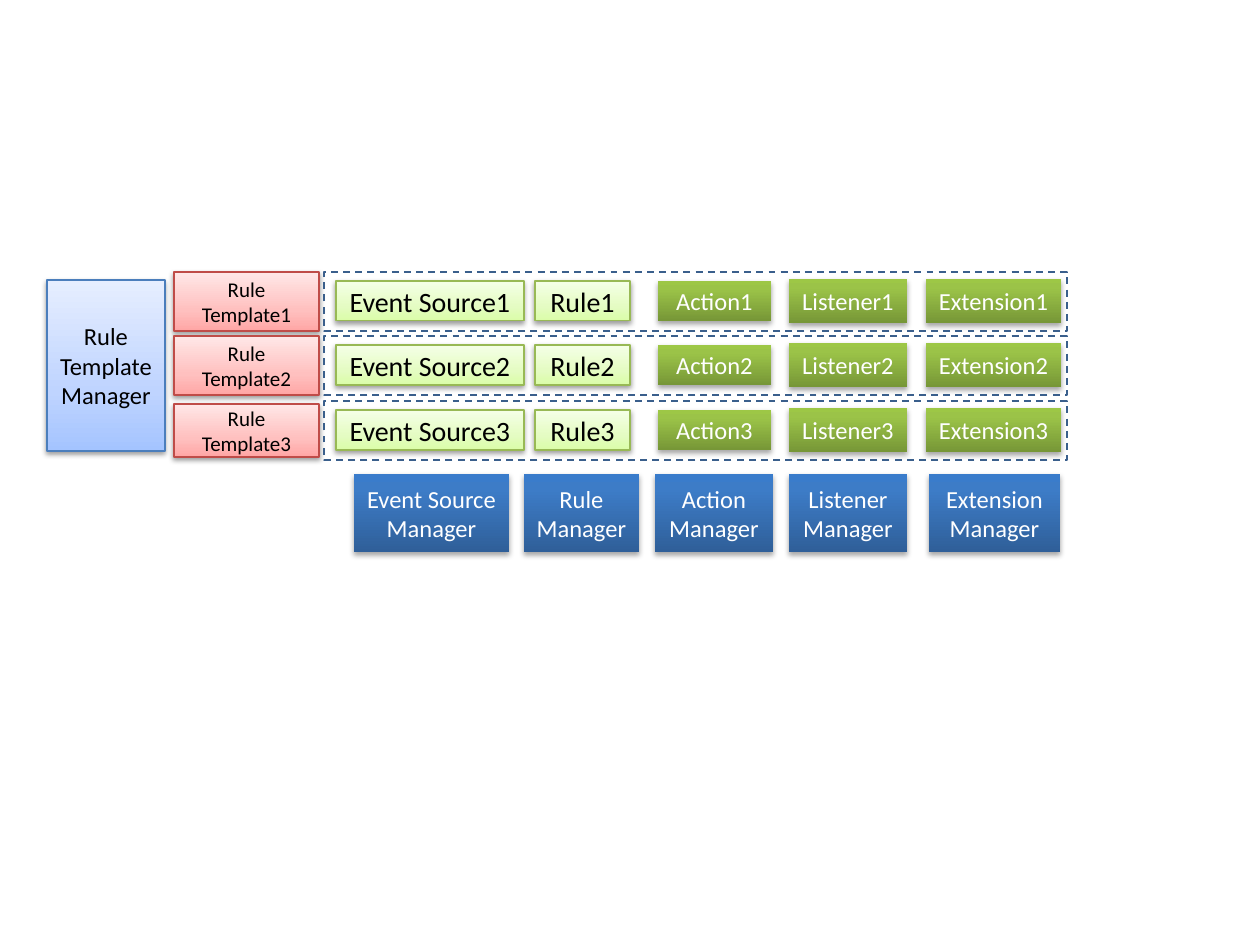
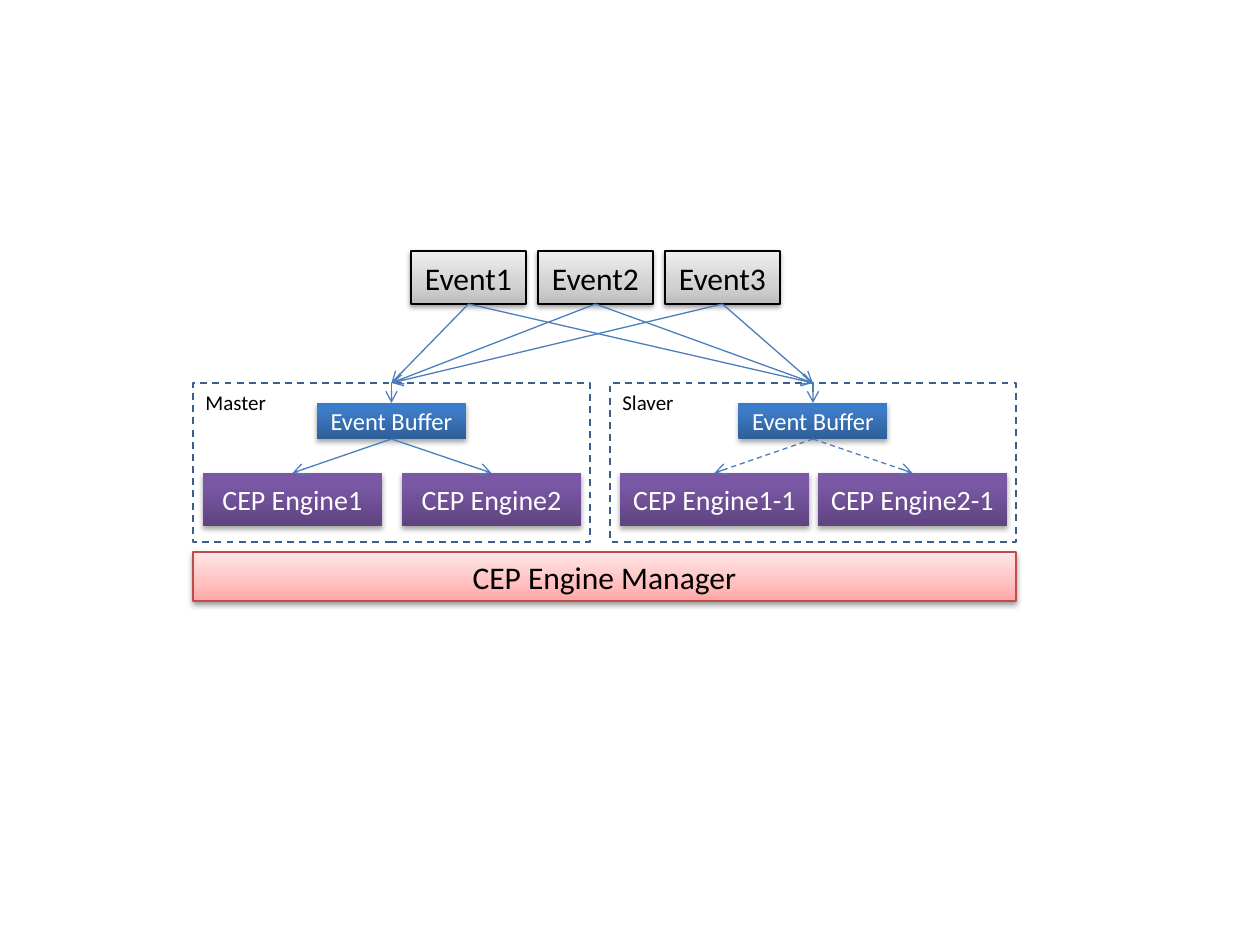
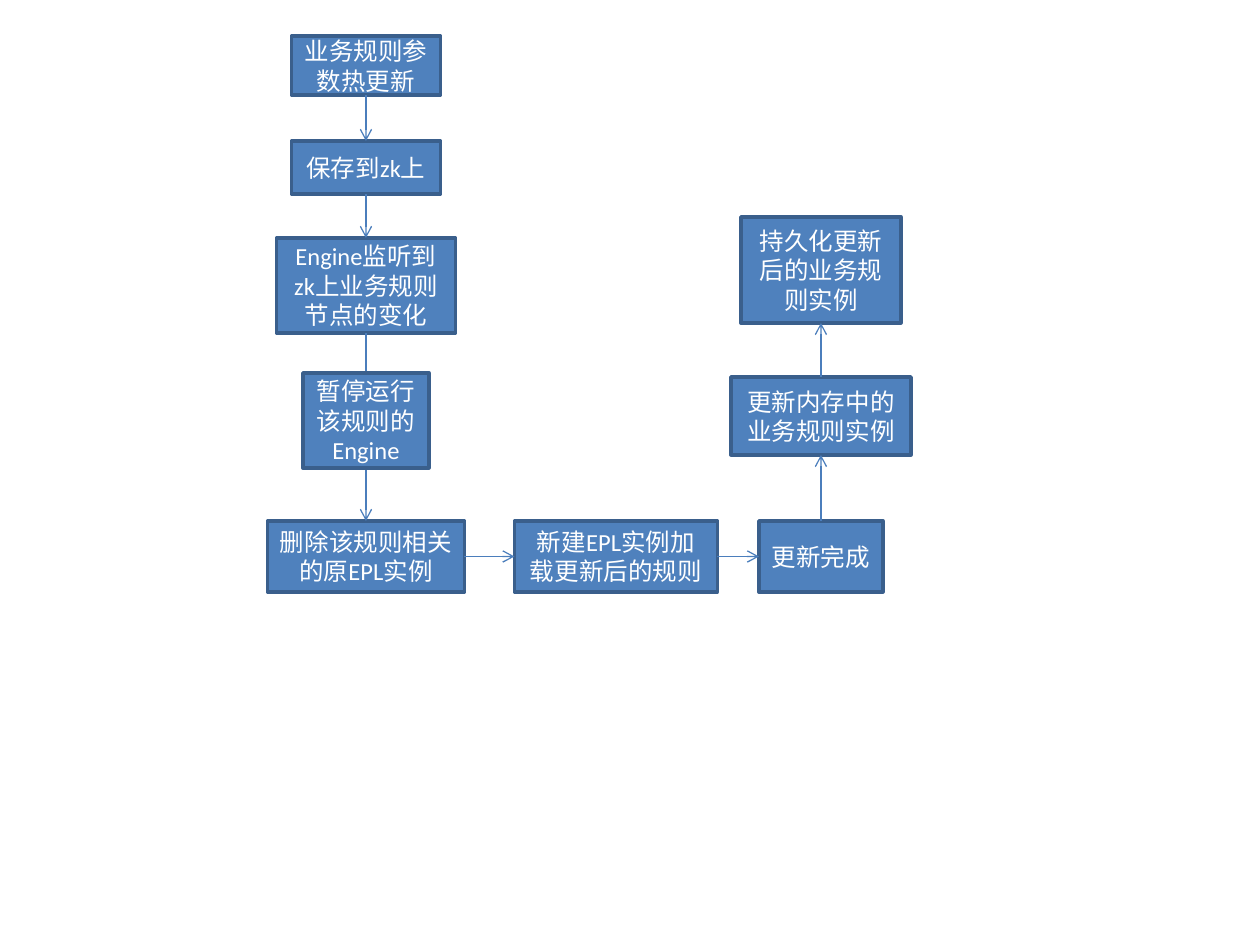
from lxml.etree import SubElement
from pptx import Presentation
from pptx.dml.color import RGBColor
from pptx.enum.dml import MSO_LINE
from pptx.enum.shapes import MSO_CONNECTOR, MSO_SHAPE
from pptx.enum.text import MSO_ANCHOR, PP_ALIGN
from pptx.oxml.ns import qn
from pptx.util import Emu, Pt

SCALE = 914400 // 126
FONT = "Calibri"
BLACK = RGBColor(0x00, 0x00, 0x00)
WHITE = RGBColor(0xFF, 0xFF, 0xFF)
BLUE = RGBColor(0x4F, 0x81, 0xBD)
NAVY = RGBColor(0x3A, 0x5F, 0x8C)
STEEL = RGBColor(0x4B, 0x7E, 0xBC)
RED = RGBColor(0xBF, 0x4C, 0x48)
LIME = RGBColor(0x98, 0xB9, 0x55)


def ramp(mid, *tones):
    """Pair three colours with their gradient stops."""
    return list(zip((0, mid, 100), map(RGBColor.from_string, tones)))


DEEP = {"size": 14, "ink": WHITE, "cast": (35, 1.8)}
PALE = {"size": 14, "ink": BLACK, "cast": (38, 1.6)}
GREEN = {**DEEP, "fill": ramp(80, "779737", "9BC348", "9DC746")}
AZURE = {**DEEP, "fill": ramp(80, "2F5F99", "3D7CC7", "3A7CCB")}
PURPLE = {**DEEP, "fill": ramp(80, "5F4480", "7B58A6", "7C57A8"), "size": 16}
MINT = {**PALE, "fill": ramp(35, "DAFDA7", "E4FCC2", "F5FFE7"), "edge": LIME, "size": 16}
PINK = {**PALE, "fill": ramp(35, "FFA6A5", "FFC0BF", "FFE7E7"), "edge": RED}
SKY = {**PALE, "fill": ramp(35, "A4C4FF", "BFD4FF", "E6EEFF"), "edge": STEEL}
GREY = {**PALE, "fill": ramp(35, "BDBDBD", "D1D1D1", "EEEEEE"), "edge": BLACK, "size": 18}
STEP = {"size": 14, "ink": WHITE, "fill": BLUE, "edge": NAVY, "width": 2}
FRAME = {"size": 12, "ink": BLACK, "edge": NAVY, "width": 1, "dash": True, "label": True}


def px(*sizes):
    """Turn pixels into EMU."""
    return [Emu(round(size * SCALE)) for size in sizes]


def shade(shape, stops):
    """Fill a shape with an upright gradient, first stop at the foot."""
    shape.fill.gradient()
    shape.fill.gradient_angle = 90
    holder = next(shape.element.spPr.iter(qn("a:gsLst")))
    for stop in list(holder):
        holder.remove(stop)
    for place, tone in stops:
        stop = SubElement(holder, qn("a:gs"), pos=str(place * 1000))
        SubElement(stop, qn("a:srgbClr"), val=str(tone))


def drop(shape, alpha, gap):
    """Cast a soft black shadow straight down."""
    holder = shape.element.spPr.find(qn("a:effectLst"))
    cast = SubElement(holder, qn("a:outerShdw"), blurRad=str(Pt(3.1)), dist=str(Pt(gap)),
                      dir="5400000", rotWithShape="0")
    tone = SubElement(cast, qn("a:srgbClr"), val=str(BLACK))
    SubElement(tone, qn("a:alpha"), val=str(alpha * 1000))


def block(slide, box, text, style, size=None):
    """Draw a styled box with one paragraph per line of text."""
    shape = slide.shapes.add_shape(MSO_SHAPE.RECTANGLE, *px(*box))
    shape.shadow.inherit = False
    fill = style.get("fill")
    if isinstance(fill, list):
        shade(shape, fill)
    elif fill:
        shape.fill.solid()
        shape.fill.fore_color.rgb = fill
    else:
        shape.fill.background()
    if "edge" in style:
        shape.line.color.rgb = style["edge"]
        shape.line.width = Pt(style.get("width", 0.75))
        if "dash" in style:
            shape.line.dash_style = MSO_LINE.DASH
    else:
        shape.line.fill.background()
    if "cast" in style:
        drop(shape, *style["cast"])
    frame = shape.text_frame
    frame.word_wrap = True
    label = "label" in style
    frame.vertical_anchor = MSO_ANCHOR.TOP if label else MSO_ANCHOR.MIDDLE
    for i, words in enumerate(text.split("\n") if text else []):
        para = frame.add_paragraph() if i else frame.paragraphs[0]
        para.alignment = PP_ALIGN.LEFT if label else PP_ALIGN.CENTER
        run = para.add_run()
        run.text = words
        run.font.name = FONT
        run.font.size = Pt(size or style["size"])
        run.font.color.rgb = style["ink"]


def arrow(slide, start, end, dash=False):
    """Draw a thin line with an open head at its end."""
    line = slide.shapes.add_connector(MSO_CONNECTOR.STRAIGHT, *px(*start, *end))
    line.line.color.rgb = STEEL
    line.line.width = Pt(0.75)
    if dash:
        line.line.dash_style = MSO_LINE.DASH
    SubElement(line.line._get_or_add_ln(), qn("a:tailEnd"), type="arrow")
    SubElement(line.element.spPr, qn("a:effectLst"))


def top(box):
    """Give the middle of the top edge."""
    return box[0] + box[2] / 2, box[1]


def foot(box):
    """Give the middle of the bottom edge."""
    return box[0] + box[2] / 2, box[1] + box[3]


def left(box):
    """Give the middle of the left edge."""
    return box[0], box[1] + box[3] / 2


def right(box):
    """Give the middle of the right edge."""
    return box[0] + box[2], box[1] + box[3] / 2


def rule_row(slide, box, num):
    """Draw one dashed row of rule parts."""
    x, y, _, high = box
    parts = [("Event Source", 12, 188, 40, MINT), ("Rule", 211, 95, 40, MINT),
             ("Action", 334, 113, 40, GREEN), ("Listener", 465, 118, 44, GREEN),
             ("Extension", 602, 135, 44, GREEN)]
    for name, dx, wide, tall, style in parts:
        block(slide, (x + dx, y + (high - tall) // 2, wide, tall), f"{name}{num}", style)
    block(slide, box, "", FRAME)


def rule_map(slide, box):
    """Draw the rule rows with their templates and managers."""
    x, y, _, _ = box
    block(slide, (x, y + 8, 118, 171), "Rule\nTemplate Manager", SKY)
    for i, (dy, tall) in enumerate([(0, 59), (64, 59), (132, 53)]):
        block(slide, (x + 127, y + dy, 145, tall), f"Rule\nTemplate{i + 1}", PINK, 12)
        rule_row(slide, (x + 277, y + 129 * i // 2, 743, 59), i + 1)
    posts = [("Event Source", 307, 155), ("Rule", 477, 115), ("Action", 608, 118),
             ("Listener", 742, 118), ("Extension", 882, 131)]
    for name, dx, wide in posts:
        block(slide, (x + dx, y + 202, wide, 78), f"{name} Manager", AZURE)


def panel(slide, box, name, tags, width, dash):
    """Draw one dashed node with its buffer and two engines."""
    x, y, wide, _ = box
    block(slide, box, name, FRAME)
    buffer = (x + (wide - 149) / 2, y + 20, 149, 36)
    block(slide, buffer, "Event Buffer", AZURE)
    arrow(slide, top(box), top(buffer))
    for tag, left_x in zip(tags, (x + 10, x + wide - 9 - width)):
        engine = (left_x, y + 90, width, 53)
        block(slide, engine, f"CEP Engine{tag}", PURPLE)
        arrow(slide, foot(buffer), top(engine), dash)


def engine_map(slide, box):
    """Draw the events, both nodes and the manager bar."""
    x, y, wide, _ = box
    nodes = [(x, y + 132, 397, 159), (x + 417, y + 132, 406, 159)]
    panel(slide, nodes[0], "Master", ("1", "2"), 179, False)
    panel(slide, nodes[1], "Slaver", ("1-1", "2-1"), 189, True)
    for i in range(3):
        event = (x + 218 + 127 * i, y, 115, 53)
        block(slide, event, f"Event{i + 1}", GREY)
        for node in nodes:
            arrow(slide, foot(event), top(node))
    block(slide, (x, y + 301, wide, 49), "CEP Engine Manager", PINK, 18)


def flow(slide, box):
    """Draw the update flow: down, across, then up."""
    x, y, _, _ = box
    steps = [("业务规则参数热更新", 98, 0, 149, 59), ("保存到zk上", 98, 105, 149, 53),
             ("Engine监听到zk上业务规则节点的变化", 98, 202, 179, 95),
             ("暂停运行该规则的Engine", 98, 337, 126, 95),
             ("删除该规则相关的原EPL实例", 98, 485, 197, 71),
             ("新建EPL实例加载更新后的规则", 348, 485, 203, 71),
             ("更新完成", 553, 485, 124, 71), ("更新内存中的业务规则实例", 553, 341, 180, 78),
             ("持久化更新后的业务规则实例", 553, 181, 160, 106)]
    boxes = [(x + mid - wide / 2, y + dy, wide, tall) for _, mid, dy, wide, tall in steps]
    pause = 3
    for i, step in enumerate(steps):
        if i != pause:
            block(slide, boxes[i], step[0], STEP)
    for i, (one, two) in enumerate(zip(boxes, boxes[1:])):
        if i < 4:
            end_x, end_y = top(two)
            arrow(slide, foot(one), (end_x, end_y + 14 * (i + 1 == pause)))
        elif i < 6:
            arrow(slide, right(one), left(two))
        else:
            arrow(slide, top(one), foot(two))
    block(slide, boxes[pause], steps[pause][0], STEP)


def main():
    """Build and save the three slides."""
    deck = Presentation()
    deck.slide_width, deck.slide_height = px(1260, 945)
    pages = [(rule_map, (47, 272, 1020, 280)), (engine_map, (193, 251, 823, 350)),
             (flow, (268, 36, 643, 557))]
    for draw, box in pages:
        draw(deck.slides.add_slide(deck.slide_layouts[6]), box)
    deck.save("out.pptx")


main()
